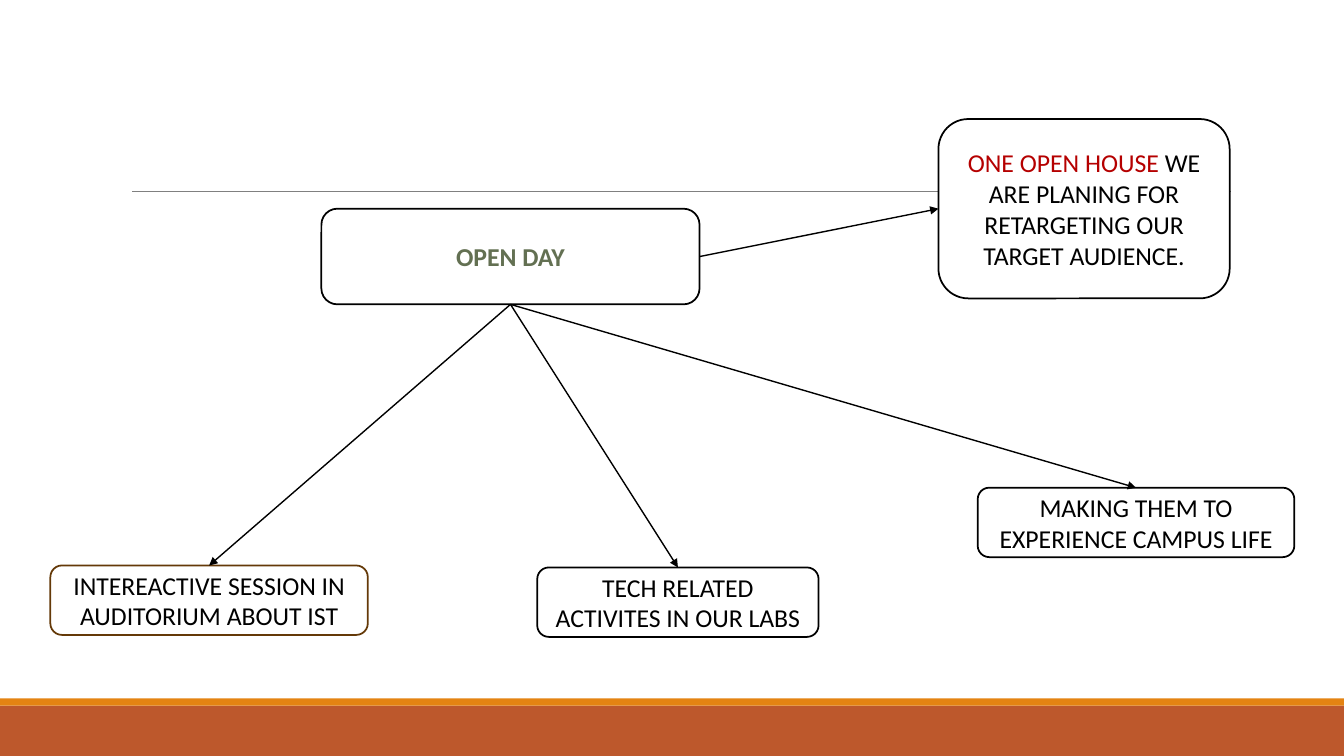
import pptx
import pptx.util
import pptx.dml.color
import pptx.enum.shapes
import pptx.enum.text
import pptx.oxml
import pptx.oxml.ns
from dataclasses import dataclass

Cm = pptx.util.Cm
Pt = pptx.util.Pt
RGB = pptx.dml.color.RGBColor.from_string
PRESET = pptx.enum.shapes.MSO_SHAPE


@dataclass(frozen=True)
class Theme:
    font: str = "Calibri"
    size: float = 18.4
    space_after: float = 6.6
    ink: RGB = RGB("000000")
    paper: RGB = RGB("FFFFFF")
    green: RGB = RGB("637052")
    red: RGB = RGB("B50000")
    brown: RGB = RGB("643908")
    rust: RGB = RGB("BD582C")
    orange: RGB = RGB("E48312")
    grey: RGB = RGB("808080")


theme = Theme()


def add_box(left, top, width, height, phrases, outline=theme.ink, bold=False):
    box = slide.shapes.add_shape(
        PRESET.ROUNDED_RECTANGLE, Cm(left), Cm(top), Cm(width), Cm(height))
    box.shadow.inherit = False
    box.fill.solid()
    box.fill.fore_color.rgb = theme.paper
    box.line.color.rgb = outline
    box.line.width = Pt(1.25)
    box.text_frame.word_wrap = True
    box.text_frame.vertical_anchor = pptx.enum.text.MSO_ANCHOR.MIDDLE
    paragraph = box.text_frame.paragraphs[0]
    paragraph.alignment = pptx.enum.text.PP_ALIGN.CENTER
    paragraph.space_after = Pt(theme.space_after)
    for words, color in phrases:
        run = paragraph.add_run()
        run.text = words
        run.font.name = theme.font
        run.font.size = Pt(theme.size)
        run.font.bold = bold
        run.font.color.rgb = color
    return box


def add_line(left, top, right, bottom, color, width):
    line = slide.shapes.add_connector(
        pptx.enum.shapes.MSO_CONNECTOR.STRAIGHT, Cm(left), Cm(top), Cm(right), Cm(bottom))
    line.line.color.rgb = color
    line.line.width = Pt(width)
    line._element.spPr.append(pptx.oxml.parse_xml(
        f"<a:effectLst {pptx.oxml.ns.nsdecls('a')}/>"))
    return line


deck = pptx.Presentation()
deck.slide_width = Cm(33.87)
deck.slide_height = Cm(19.05)
slide = deck.slides.add_slide(deck.slide_layouts[6])

for top, height, color in [(17.78, 1.27, theme.rust), (17.6, 0.18, theme.orange)]:
    band = slide.shapes.add_shape(
        PRESET.RECTANGLE, 0, Cm(top), deck.slide_width, Cm(height))
    band.shadow.inherit = False
    band.fill.solid()
    band.fill.fore_color.rgb = color
    band.line.fill.background()

add_line(3.33, 4.83, 31.01, 4.83, theme.grey, 0.5)

open_day = add_box(8.1, 5.26, 9.53, 2.41, [("OPEN DAY", theme.green)], bold=True)
auditorium = add_box(
    1.27, 14.25, 8, 1.75,
    [("INTEREACTIVE SESSION IN AUDITORIUM ABOUT IST", theme.ink)], outline=theme.brown)
labs = add_box(
    13.54, 14.3, 7.09, 1.75, [("TECH RELATED ACTIVITES IN OUR LABS", theme.ink)])
campus = add_box(
    24.64, 12.29, 7.98, 1.75, [("MAKING THEM TO EXPERIENCE CAMPUS LIFE", theme.ink)])
open_house = add_box(
    23.65, 3, 7.34, 4.52,
    [("ONE OPEN HOUSE", theme.red),
     (" WE ARE PLANING FOR RETARGETING OUR TARGET AUDIENCE.", theme.ink)])

for activity, start_side, end_side in [
        (auditorium, 2, 0), (labs, 2, 0), (campus, 2, 0), (open_house, 3, 1)]:
    arrow = add_line(0, 0, 0, 0, theme.ink, 1)
    arrow.begin_connect(open_day, start_side)
    arrow.end_connect(activity, end_side)
    arrow.line._get_or_add_ln().append(pptx.oxml.parse_xml(
        f"<a:tailEnd {pptx.oxml.ns.nsdecls('a')} type='triangle'/>"))

deck.save("out.pptx")
